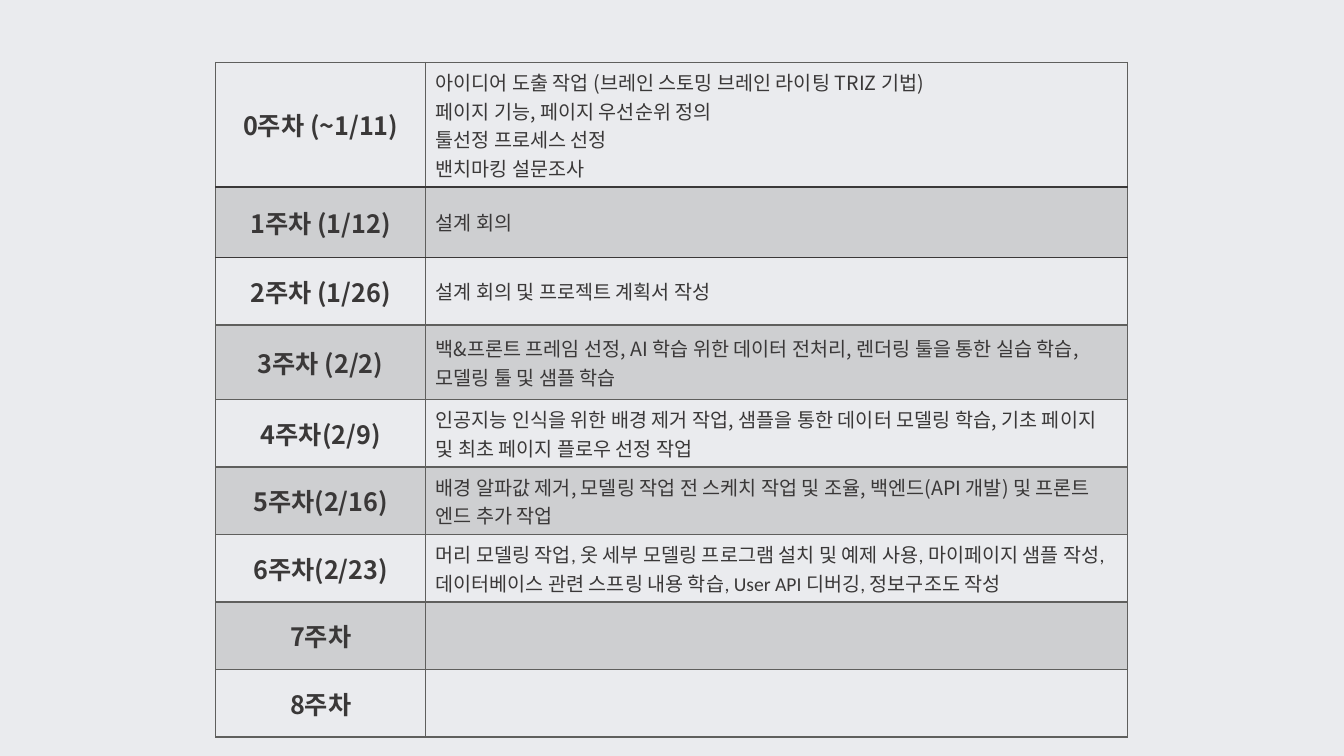
from lxml.etree import SubElement
from pptx import Presentation
from pptx.dml.color import RGBColor
from pptx.enum.text import MSO_ANCHOR, PP_ALIGN
from pptx.oxml import parse_xml
from pptx.oxml.ns import nsdecls, qn
from pptx.util import Inches, Pt

KOREAN_FONT = "Noto Sans CJK KR"
LATIN_FONT = "Calibri"
BACKGROUND = "EAEBEE"
INK = "3A3838"
RULE = "5F5F5D"
BAND_OPACITY = 20
DARK_RULES = (1, 2)  # rules above these rows use the ink colour

# week, tasks, row height, font of the tasks
SCHEDULE = [
    ("0주차 (~1/11)",
     ["아이디어 도출 작업 (브레인 스토밍 브레인 라이팅 TRIZ 기법)",
      "페이지 기능, 페이지 우선순위 정의",
      "툴선정 프로세스 선정",
      "밴치마킹 설문조사"], 1.23, KOREAN_FONT),
    ("1주차 (1/12)", ["설계 회의"], 0.7, KOREAN_FONT),
    ("2주차 (1/26)", ["설계 회의 및 프로젝트 계획서 작성"], 0.67, KOREAN_FONT),
    ("3주차 (2/2)",
     ["백&프론트 프레임 선정, AI 학습 위한 데이터 전처리, 렌더링 툴을 통한 실습 학습, "
      "모델링 툴 및 샘플 학습"], 0.74, KOREAN_FONT),
    ("4주차(2/9)",
     ["인공지능 인식을 위한 배경 제거 작업, 샘플을 통한 데이터 모델링 학습, "
      "기초 페이지 및 최초 페이지 플로우 선정 작업"], 0.67, KOREAN_FONT),
    ("5주차(2/16)",
     ["배경 알파값 제거, 모델링 작업 전 스케치 작업 및 조율, 백엔드(API 개발) 및 "
      "프론트 엔드 추가 작업"], 0.67, KOREAN_FONT),
    ("6주차(2/23)",
     ["머리 모델링 작업, 옷 세부 모델링 프로그램 설치 및 예제 사용, 마이페이지 샘플 작성, "
      "데이터베이스 관련 스프링 내용 학습, User API 디버깅, 정보구조도 작성"], 0.67, LATIN_FONT),
    ("7주차", [], 0.67, KOREAN_FONT),
    ("8주차", [], 0.67, KOREAN_FONT),
]


def color(hex_string):
    return RGBColor.from_string(hex_string)


class ScheduleSlide:
    def __init__(self, presentation):
        self.slide = presentation.slides.add_slide(presentation.slide_layouts[6])
        background = self.slide.background.fill
        background.solid()
        background.fore_color.rgb = color(BACKGROUND)

    def fill_text(self, cell, lines, size, font, bold=False, align=PP_ALIGN.LEFT):
        cell.vertical_anchor = MSO_ANCHOR.MIDDLE
        frame = cell.text_frame
        for index, line in enumerate(lines):
            paragraph = frame.add_paragraph() if index else frame.paragraphs[0]
            paragraph.alignment = align
            run = paragraph.add_run()
            run.text = line
            run.font.size = Pt(size)
            run.font.bold = bold
            run.font.name = font
            run.font.color.rgb = color(INK)
            east_asian = SubElement(run.font._element, qn("a:ea"))
            east_asian.set("typeface", KOREAN_FONT)

    def shade(self, cell, banded):
        if not banded:
            cell.fill.background()
            return
        cell.fill.solid()
        cell.fill.fore_color.rgb = color(RULE)
        shade = cell._tc.tcPr.find(".//" + qn("a:srgbClr"))
        SubElement(shade, qn("a:alpha")).set("val", str(BAND_OPACITY * 1000))

    def border(self, cell, top, bottom):
        sides = {"lnL": RULE, "lnR": RULE, "lnT": top, "lnB": bottom}
        for position, (side, hex_string) in enumerate(sides.items()):
            line = parse_xml(
                f'<a:{side} {nsdecls("a")} w="{Pt(1)}"><a:solidFill>'
                f'<a:srgbClr val="{hex_string}"/></a:solidFill></a:{side}>')
            cell._tc.tcPr.insert(position, line)

    def schedule(self, rows, left, top, column_widths):
        height = sum(row[2] for row in rows)
        table = self.slide.shapes.add_table(
            len(rows), len(column_widths), Inches(left), Inches(top),
            Inches(sum(column_widths)), Inches(height)).table
        table.first_row = False
        table.horz_banding = False
        for column, width in zip(table.columns, column_widths):
            column.width = Inches(width)
        rules = [INK if i in DARK_RULES else RULE for i in range(len(rows) + 1)]
        for index, (week, tasks, row_height, font) in enumerate(rows):
            table.rows[index].height = Inches(row_height)
            week_cell, task_cell = table.rows[index].cells
            self.fill_text(week_cell, [week], 18, KOREAN_FONT, True, PP_ALIGN.CENTER)
            self.fill_text(task_cell, tasks, 14, font)
            for cell in (week_cell, task_cell):
                self.shade(cell, banded=index % 2 == 1)
                self.border(cell, rules[index], rules[index + 1])


def main():
    presentation = Presentation()
    presentation.slide_width = Inches(13.33)
    presentation.slide_height = Inches(7.5)
    ScheduleSlide(presentation).schedule(SCHEDULE, 2.14, 0.62, (2.08, 6.96))
    presentation.save("out.pptx")


if __name__ == "__main__":
    main()
